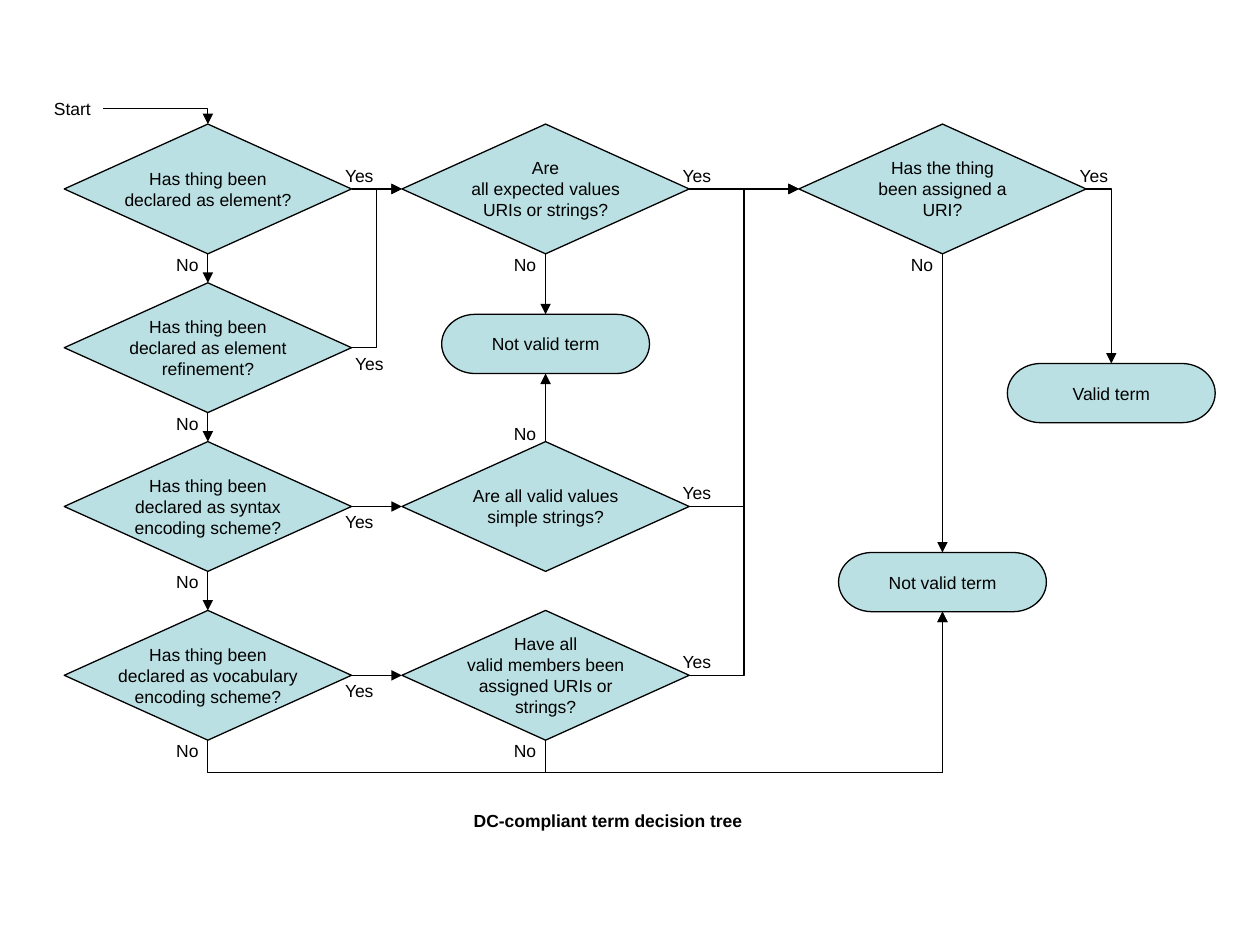
from typing import NamedTuple

from lxml.etree import SubElement
from pptx import Presentation
from pptx.dml.color import RGBColor
from pptx.enum.shapes import MSO_CONNECTOR, MSO_SHAPE
from pptx.enum.text import MSO_ANCHOR, MSO_AUTO_SIZE, PP_ALIGN
from pptx.oxml.ns import qn
from pptx.util import Inches, Pt

INK, NODE_FILL, FONT = "000000", "BBE0E3", "Arial"
TITLE_ONLY = 5
COLUMNS = (1.65, 4.33, 7.48, 8.82)  # node centres, inches
ROWS = (1.5, 2.76, 4.02, 5.36)
QUESTION_W, QUESTION_H = 2.28, 1.03
OUTCOME_W, OUTCOME_H = 1.65, 0.47
LABEL_H = 0.27
LABEL_WIDTHS = {"Yes": 0.46, "No": 0.42, "Start": 0.52}
TOP, LEFT, BOTTOM, RIGHT = range(4)  # connection sites of a node
RETURN_Y = 6.13  # lane that carries the last "No" answers


class Node(NamedTuple):
    key: str
    lines: tuple[str, ...]
    column: int
    y: float
    outcome: bool = False


class Flow(NamedTuple):
    source: str
    source_site: int
    target: str
    target_site: int
    kind: str = "straight"  # straight, elbow, corner or return


class Answer(NamedTuple):
    text: str
    column: int
    row: int
    dx: float = 0
    dy: float = 0


NODES = (
    Node("element", ("Has thing been", "declared as element?"), 0, ROWS[0]),
    Node("refinement", ("Has thing been", "declared as element", "refinement?"), 0, ROWS[1]),
    Node("syntax", ("Has thing been", "declared as syntax", "encoding scheme?"), 0, ROWS[2]),
    Node("vocabulary", ("Has thing been", "declared as vocabulary", "encoding scheme?"), 0, ROWS[3]),
    Node("expected", ("Are", "all expected values", "URIs or strings?"), 1, ROWS[0]),
    Node("simple", ("Are all valid values", "simple strings?"), 1, ROWS[2]),
    Node("members", ("Have all", "valid members been", "assigned URIs or", "strings?"), 1, ROWS[3]),
    Node("assigned", ("Has the thing", "been assigned a", "URI?"), 2, ROWS[0]),
    Node("invalid values", ("Not valid term",), 1, 2.73, True),
    Node("invalid term", ("Not valid term",), 2, 4.62, True),
    Node("valid term", ("Valid term",), 3, 3.12, True),
)

FLOWS = (
    Flow("element", BOTTOM, "refinement", TOP),
    Flow("refinement", BOTTOM, "syntax", TOP),
    Flow("syntax", BOTTOM, "vocabulary", TOP),
    Flow("element", RIGHT, "expected", LEFT),
    Flow("refinement", RIGHT, "expected", LEFT, "elbow"),
    Flow("syntax", RIGHT, "simple", LEFT),
    Flow("vocabulary", RIGHT, "members", LEFT),
    Flow("expected", BOTTOM, "invalid values", TOP),
    Flow("simple", TOP, "invalid values", BOTTOM),
    Flow("expected", RIGHT, "assigned", LEFT),
    Flow("simple", RIGHT, "assigned", LEFT, "elbow"),
    Flow("members", RIGHT, "assigned", LEFT, "elbow"),
    Flow("assigned", RIGHT, "valid term", TOP, "corner"),
    Flow("assigned", BOTTOM, "invalid term", TOP),
    Flow("vocabulary", BOTTOM, "invalid term", BOTTOM, "return"),
    Flow("members", BOTTOM, "invalid term", BOTTOM, "return"),
)

BELOW_LINE = 0.23
ANSWERS = (
    Answer("Yes", 0, 0),
    Answer("Yes", 0, 1, 0.08, BELOW_LINE),
    Answer("Yes", 0, 2, 0, BELOW_LINE),
    Answer("Yes", 0, 3, 0, BELOW_LINE),
    Answer("Yes", 1, 0),
    Answer("Yes", 1, 2),
    Answer("Yes", 1, 3),
    Answer("Yes", 2, 0),
    *(Answer("No", 0, row) for row in range(4)),
    Answer("No", 1, 0),
    Answer("No", 1, 2, 0, -1.18),
    Answer("No", 1, 3),
    Answer("No", 2, 0),
)


def color(value: str) -> RGBColor:
    return RGBColor.from_string(value)


def write(shape, lines, align=PP_ALIGN.LEFT, anchor=MSO_ANCHOR.TOP, bold=False) -> None:
    frame = shape.text_frame
    frame.word_wrap = False
    frame.vertical_anchor = anchor
    for index, line in enumerate(lines):
        paragraph = frame.add_paragraph() if index else frame.paragraphs[0]
        paragraph.alignment = align
        run = paragraph.add_run()
        run.text = line
        run.font.name, run.font.size, run.font.bold = FONT, Pt(10), bold
        run.font.color.rgb = color(INK)


def place(shape, x: float, y: float, width: float, height: float) -> None:
    shape.left, shape.top = Inches(x), Inches(y)
    shape.width, shape.height = Inches(width), Inches(height)


def add_node(slide, node: Node):
    preset, width, height = (
        (MSO_SHAPE.FLOWCHART_TERMINATOR, OUTCOME_W, OUTCOME_H) if node.outcome
        else (MSO_SHAPE.FLOWCHART_DECISION, QUESTION_W, QUESTION_H))
    shape = slide.shapes.add_shape(
        preset, Inches(COLUMNS[node.column] - width / 2), Inches(node.y - height / 2),
        Inches(width), Inches(height))
    shape.shadow.inherit = False
    shape.fill.solid()
    shape.fill.fore_color.rgb = color(NODE_FILL)
    shape.line.color.rgb = color(INK)
    shape.line.width = Pt(0.75)
    write(shape, node.lines, PP_ALIGN.CENTER, MSO_ANCHOR.MIDDLE)
    return shape


def add_label(slide, text: str, x: float, y: float) -> None:
    box = slide.shapes.add_textbox(
        Inches(x), Inches(y), Inches(LABEL_WIDTHS[text]), Inches(LABEL_H))
    write(box, [text])


def add_answer(slide, answer: Answer) -> None:
    x, y = COLUMNS[answer.column], ROWS[answer.row]
    if answer.text == "Yes":
        x, y = x + QUESTION_W / 2 - 0.15, y - 0.24
    else:
        x, y = x - 0.35, y + QUESTION_H / 2 - 0.05
    add_label(slide, answer.text, x + answer.dx, y + answer.dy)


def add_arrow(slide, kind: str, start=(0, 0), end=(0, 0)):
    route = MSO_CONNECTOR.STRAIGHT if kind == "straight" else MSO_CONNECTOR.ELBOW
    arrow = slide.shapes.add_connector(route, *map(Inches, (*start, *end)))
    arrow.line.color.rgb = color(INK)
    arrow.line.width = Pt(0.75)
    properties = arrow.element.spPr
    SubElement(properties.find(qn("a:ln")), qn("a:tailEnd"), type="triangle")
    SubElement(properties, qn("a:effectLst"))
    if kind == "corner":
        properties.find(qn("a:prstGeom")).set("prst", "bentConnector2")
    return arrow


def bend_below(arrow) -> None:
    """Route an elbow down to the return lane and up again, as a turned connector."""
    x1, y1, x2, y2 = arrow.begin_x, arrow.begin_y, arrow.end_x, arrow.end_y
    span, rise = x2 - x1, y1 - y2
    properties = arrow.element.spPr
    frame = properties.find(qn("a:xfrm"))
    for name, value in (("rot", "5400000"), ("flipH", "1"), ("flipV", "1")):
        frame.set(name, value)
    arrow.left, arrow.top = (x1 + x2 - rise) // 2, (y1 + y2 - span) // 2
    arrow.width, arrow.height = rise, span
    drop = round(-100000 * (Inches(RETURN_Y) - y1) / rise)
    guides = properties.find(qn("a:prstGeom")).find(qn("a:avLst"))
    SubElement(guides, qn("a:gd"), name="adj1", fmla=f"val {drop}")


def add_flow(slide, flow: Flow, shapes: dict) -> None:
    arrow = add_arrow(slide, flow.kind)
    arrow.begin_connect(shapes[flow.source], flow.source_site)
    arrow.end_connect(shapes[flow.target], flow.target_site)
    if flow.kind == "return":
        bend_below(arrow)


def main() -> None:
    deck = Presentation()
    deck.slide_width, deck.slide_height = Inches(10), Inches(7.5)
    slide = deck.slides.add_slide(deck.slide_layouts[TITLE_ONLY])
    title = slide.shapes.title
    place(title, 3.66, 6.38, 2.33, LABEL_H)
    write(title, ["DC-compliant term decision tree"], bold=True)
    title.text_frame.auto_size = MSO_AUTO_SIZE.SHAPE_TO_FIT_TEXT

    shapes = {node.key: add_node(slide, node) for node in NODES}
    for flow in FLOWS:
        add_flow(slide, flow, shapes)
    add_label(slide, "Start", 0.33, 0.73)
    add_arrow(slide, "corner", (0.82, 0.86), (COLUMNS[0], ROWS[0] - QUESTION_H / 2))
    for answer in ANSWERS:
        add_answer(slide, answer)
    deck.save("out.pptx")


if __name__ == "__main__":
    main()
